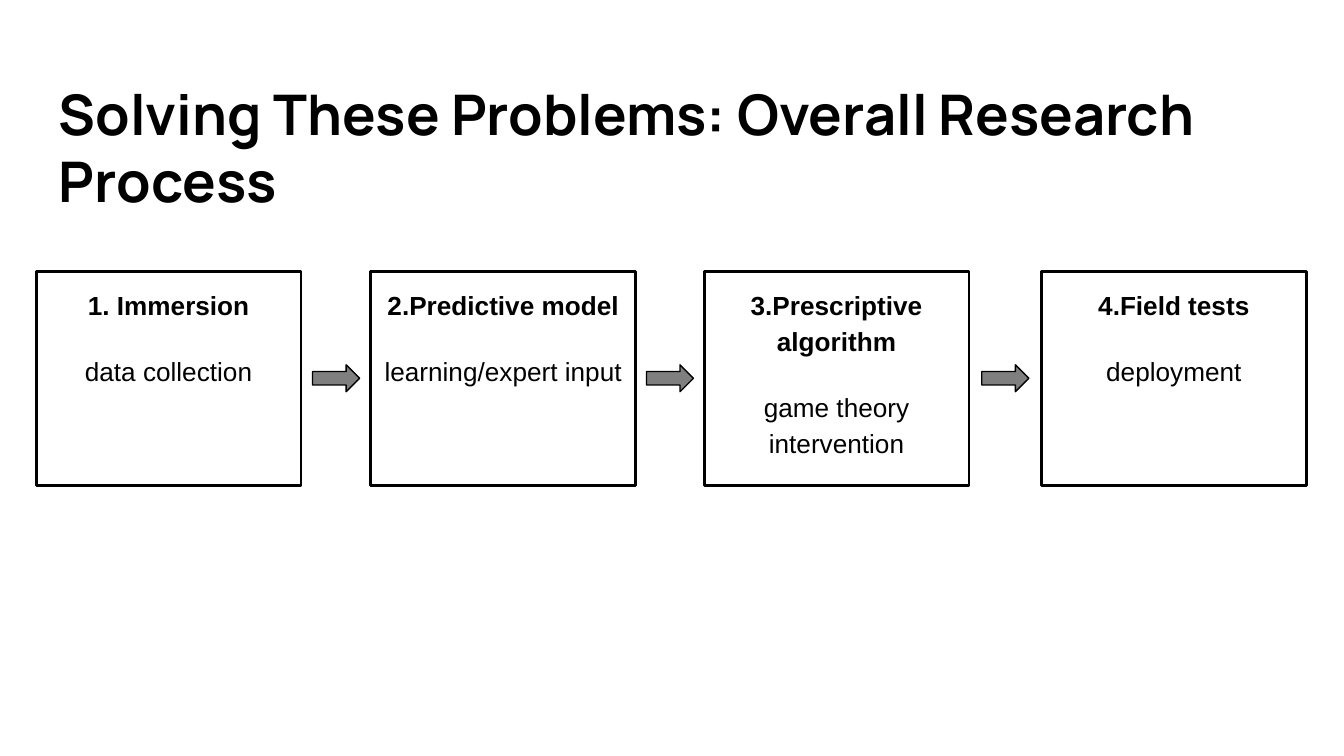
from pptx import Presentation
from pptx.dml.color import RGBColor
from pptx.enum.shapes import MSO_SHAPE as Shape
from pptx.enum.text import MSO_ANCHOR as Anchor, PP_ALIGN as Align
from pptx.util import Inches, Pt

# Content: left edge in inches, heading, note
TITLE = "Solving These Problems: Overall Research Process"
STEPS = [
    (0.27, "1. Immersion", "data collection"),
    (2.76, "2.Predictive model", "learning/expert input"),
    (5.24, "3.Prescriptive algorithm", "game theory intervention"),
    (7.75, "4.Field tests", "deployment"),
]

BLACK = RGBColor(0x00, 0x00, 0x00)
GRAY = RGBColor(0x7F, 0x7F, 0x7F)

# Layout in inches
TOP, WIDE, HIGH = 2.02, 1.97, 1.59
ARROW_W, ARROW_H = 0.35, 0.2


def set_frame(frame):
    frame.word_wrap = True
    frame.vertical_anchor = Anchor.TOP
    frame.margin_left = frame.margin_right = Inches(0.1)
    frame.margin_top = frame.margin_bottom = Inches(0.1)


def set_font(para, name, size, bold):
    font = para.font
    font.name, font.size, font.bold = name, Pt(size), bold
    font.color.rgb = BLACK


def add_shape(kind, x, y, w, h, weight):
    shape = slide.shapes.add_shape(
        kind, Inches(x), Inches(y), Inches(w), Inches(h))
    shape.shadow.inherit = False
    shape.line.color.rgb = BLACK
    shape.line.width = Pt(weight)
    return shape


def add_step(x, head, note):
    box = add_shape(Shape.RECTANGLE, x, TOP, WIDE, HIGH, 1.5)
    box.fill.background()
    frame = box.text_frame
    set_frame(frame)
    first, second = frame.paragraphs[0], frame.add_paragraph()
    for para, text, bold in ((first, head, True), (second, note, False)):
        para.text = text
        para.alignment = Align.CENTER
        para.line_spacing = 1.15
        set_font(para, "Arial", 14, bold)
    second.space_before = Pt(16)


def add_arrow(start, end):
    x = (start + end - ARROW_W) / 2
    y = TOP + (HIGH - ARROW_H) / 2
    arrow = add_shape(Shape.RIGHT_ARROW, x, y, ARROW_W, ARROW_H, 0.75)
    arrow.fill.solid()
    arrow.fill.fore_color.rgb = GRAY


# Slide in 16:9
deck = Presentation()
deck.slide_width, deck.slide_height = Inches(10), Inches(10 * 9 / 16)
slide = deck.slides.add_slide(deck.slide_layouts[6])

# Title
title = slide.shapes.add_textbox(
    Inches(0.34), Inches(0.49), Inches(9.32), Inches(0.68)).text_frame
set_frame(title)
title.text = TITLE
set_font(title.paragraphs[0], "Manrope", 30, True)

# Steps
for x, head, note in STEPS:
    add_step(x, head, note)

# An arrow centred in each gap
for (left, *_), (right, *_) in zip(STEPS, STEPS[1:]):
    add_arrow(left + WIDE, right)

deck.save("out.pptx")
